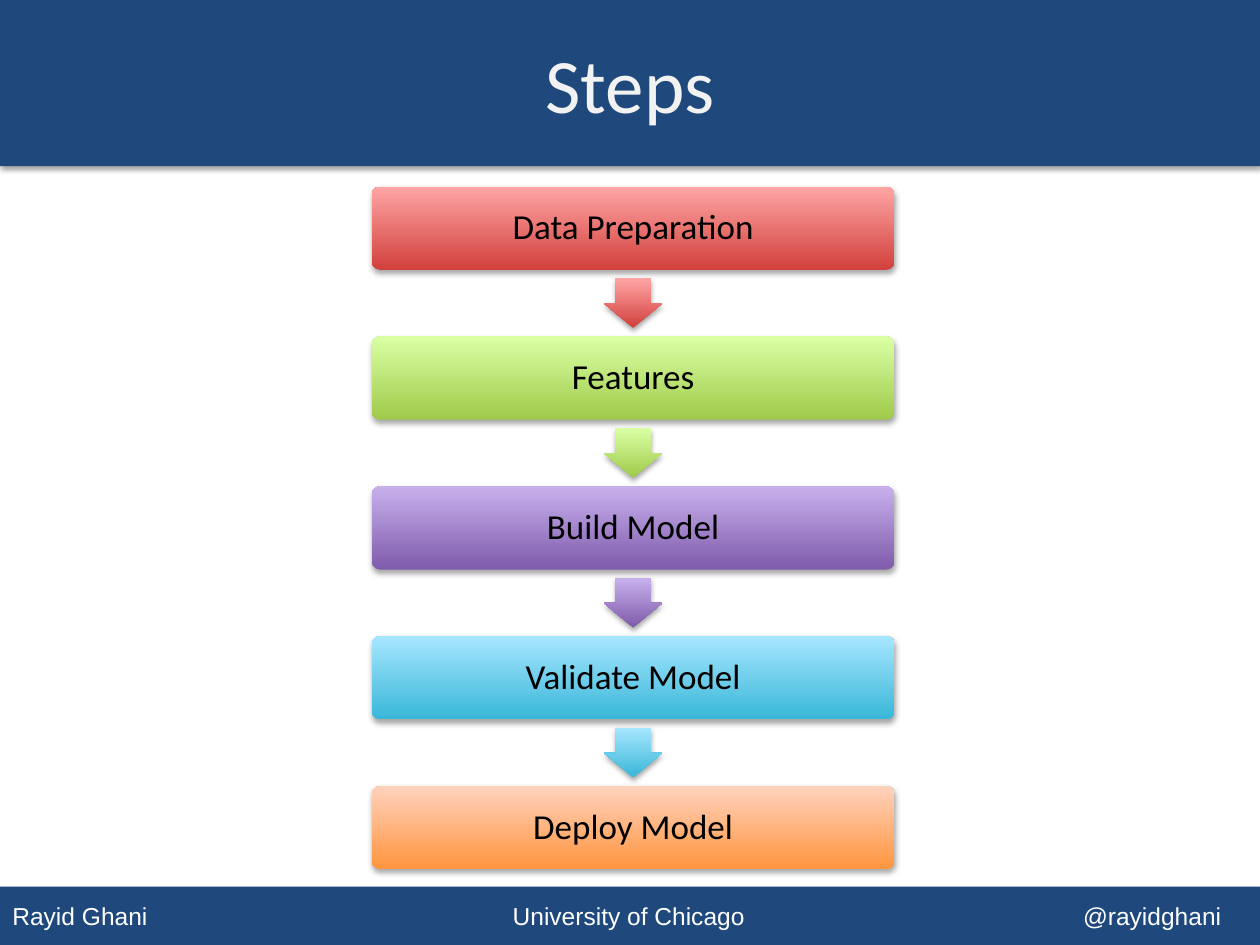
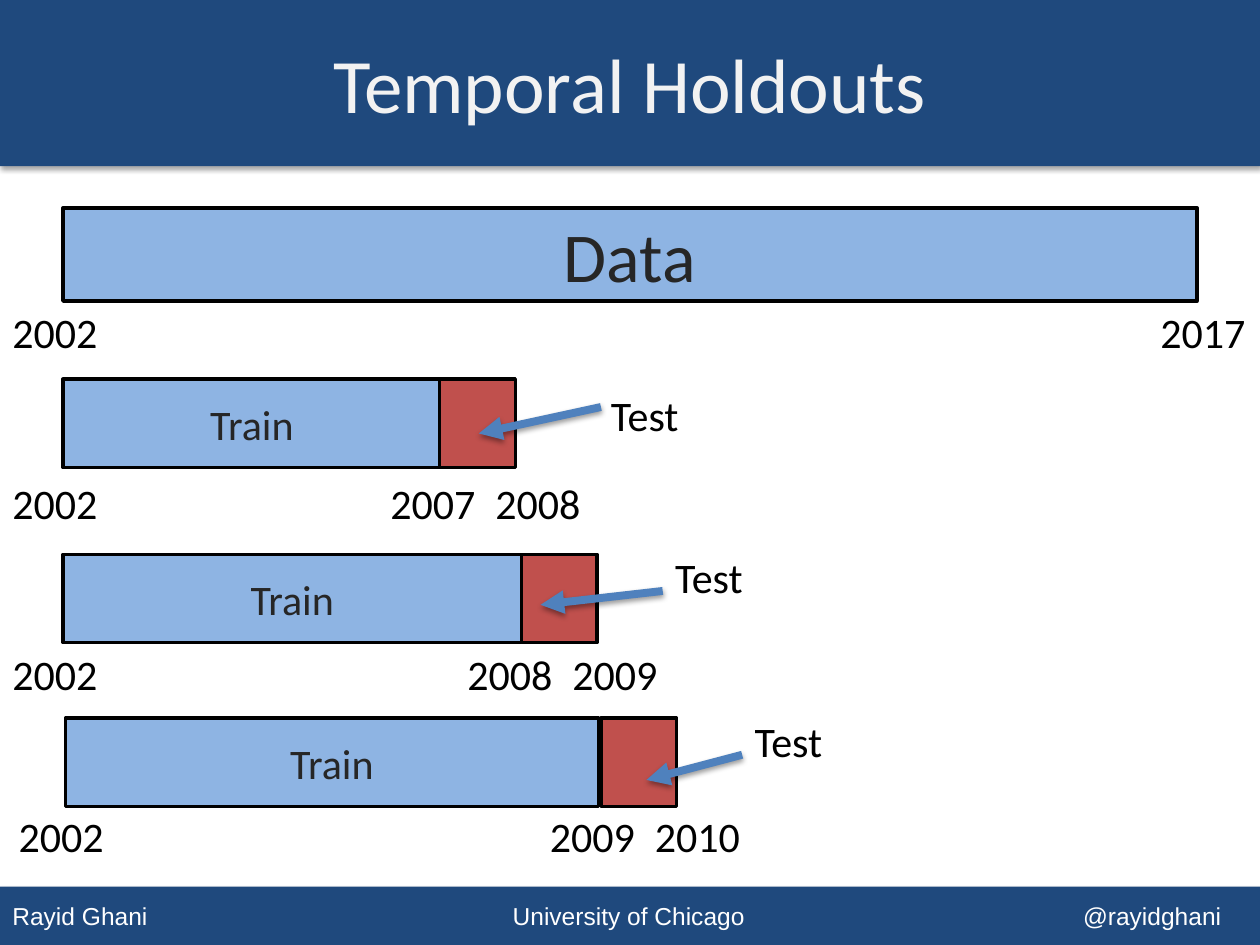
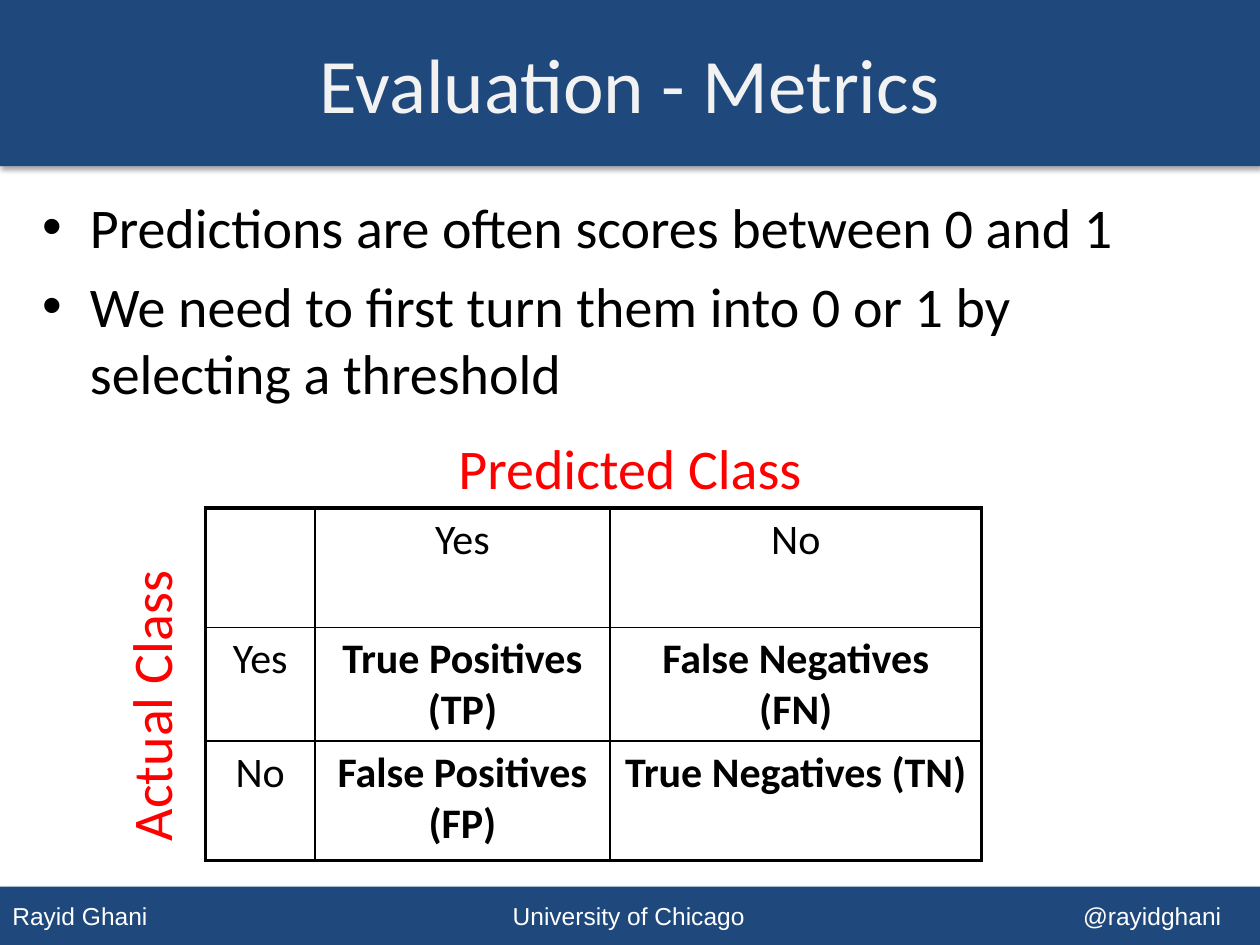
from dataclasses import dataclass

from lxml import etree
from pptx import Presentation
from pptx.dml.color import RGBColor
from pptx.enum import shapes, text
from pptx.oxml import ns
from pptx.util import Pt


@dataclass(frozen=True)
class Theme:
    # Colours
    band: str = "1F497D"
    title: str = "F2F2F2"
    white: str = "FFFFFF"
    black: str = "000000"
    train: str = "8EB4E3"
    test: str = "C0504D"
    bar_text: str = "262626"
    arrow: str = "4F81BD"
    axis: str = "FF0000"
    # Type
    font: str = "Calibri"
    footer_font: str = "Arial"
    title_size: int = 44
    data_size: int = 40
    body_size: int = 32
    label_size: int = 24
    step_size: int = 20
    footer_size: int = 14


THEME = Theme()
WIDTH, HEIGHT = 720, 540
CENTER = text.PP_ALIGN.CENTER

STEPS = [  # label, dark colour at the bottom, light colour at the top
    ("Data Preparation", "D1403C", "FFA6A5"),
    ("Features", "A0CA4A", "DAFFA5"),
    ("Build Model", "7F5BAB", "C8B0ED"),
    ("Validate Model", "39B7D8", "A7E6FF"),
    ("Deploy Model", "FF953E", "FFD2BD"),
]


@dataclass(frozen=True)
class Holdout:
    """One train/test split; y offsets count from the top of its bars."""
    years: str
    left: float
    top: float
    train_width: float
    test_left: float
    years_left: float
    years_y: float
    year_stop: float
    note: tuple
    arrow_from: tuple
    arrow_to: tuple


HOLDOUTS = [
    Holdout("2002\t2007\t2008", 36, 216.7, 216, 251.3, 0, 52.6, 216,
            (342, 2.2), (343.4, 15.9), (273.6, 31)),
    Holdout("2002\t2008\t2009", 36, 316.8, 262, 298, 0, 50.4, 260,
            (378.7, -5), (378.7, 20.9), (308.9, 28.8)),
    Holdout("2002\t2009\t2010", 37.4, 410.4, 304.6, 343.4, 3.6, 49, 303.5,
            (424.1, -5), (424.1, 20.9), (369.4, 35.3)),
]

METRICS = ["Predictions are often scores between 0 and 1",
           "We need to first turn them into 0 or 1 by selecting a threshold"]
CONFUSION = [["", "Yes", "No"],
             ["Yes", "True Positives (TP)", "False Negatives (FN)"],
             ["No", "False Positives (FP)", "True Negatives (TN)"]]


# Helpers
def points(*lengths):
    return [Pt(length) for length in lengths]


def rgb(colour):
    return RGBColor.from_string(colour)


def add_xml(parent, tag, **attributes):
    values = {name: str(value) for name, value in attributes.items()}
    return etree.SubElement(parent, ns.qn(tag), values)


def add_shadow(shape, opacity=35):
    properties = shape._element.spPr
    effects = properties.find(ns.qn("a:effectLst"))
    if effects is None:
        effects = add_xml(properties, "a:effectLst")
    shadow = add_xml(effects, "a:outerShdw", blurRad=Pt(3.1), dist=Pt(1.8),
                     dir=90 * 60000, rotWithShape=0)
    colour = add_xml(shadow, "a:srgbClr", val=THEME.black)
    add_xml(colour, "a:alpha", val=opacity * 1000)


def style_runs(paragraph, size, colour, font=THEME.font, bold=False):
    for run in paragraph.runs:
        run.font.name = font
        run.font.size = Pt(size)
        run.font.bold = bold
        run.font.color.rgb = rgb(colour)


def write(shape, words, size, colour, align=None, font=THEME.font, tabs=(),
          anchor=text.MSO_ANCHOR.MIDDLE):
    frame = shape.text_frame
    frame.word_wrap = True
    frame.vertical_anchor = anchor
    frame.text = words
    paragraph = frame.paragraphs[0]
    paragraph.alignment = align or text.PP_ALIGN.LEFT
    if tabs:
        stops = add_xml(paragraph._p.get_or_add_pPr(), "a:tabLst")
        for stop in tabs:
            add_xml(stops, "a:tab", pos=Pt(stop), algn="l")
    style_runs(paragraph, size, colour, font)
    return paragraph


def add_label(slide, box, words, size=THEME.label_size, colour=THEME.black,
              **options):
    label = slide.shapes.add_textbox(*points(*box))
    options.setdefault("anchor", text.MSO_ANCHOR.TOP)
    write(label, words, size, colour, **options)
    return label


def add_block(slide, kind, box, fill=None, gradient=None, outline=None):
    shape = slide.shapes.add_shape(kind, *points(*box))
    shape.shadow.inherit = False
    if gradient:
        shape.fill.gradient()
        shape.fill.gradient_angle = 90
        for stop, colour in zip(shape.fill.gradient_stops, gradient):
            stop.color.rgb = rgb(colour)
    else:
        shape.fill.solid()
        shape.fill.fore_color.rgb = rgb(fill)
    if outline:
        shape.line.color.rgb = rgb(outline)
        shape.line.width = Pt(2)
    else:
        shape.line.fill.background()
    return shape


def add_bar(slide, box, fill):
    return add_block(slide, shapes.MSO_SHAPE.RECTANGLE, box, fill,
                     outline=THEME.black)


# Frame shared by every slide
def add_frame(presentation, title):
    slide = presentation.slides.add_slide(presentation.slide_layouts[6])
    footer, header = [
        add_block(slide, shapes.MSO_SHAPE.RECTANGLE, (0, top, WIDTH, height),
                  THEME.band)
        for top, height in ((506.7, HEIGHT - 506.7), (0, 95))]
    add_shadow(footer)
    add_shadow(header)
    write(footer, "Rayid Ghani\tUniversity of Chicago\t@rayidghani",
          THEME.footer_size, THEME.white, font=THEME.footer_font,
          tabs=(285.9, 611.8))
    add_label(slide, (0, 2.2, WIDTH, 90), title, THEME.title_size, THEME.title,
              align=CENTER, anchor=text.MSO_ANCHOR.MIDDLE)
    return slide


# Vertical flow of steps
def add_flow(slide, box):
    left, top, width, height = box
    step_height = 47.6
    pitch = (height - step_height) / (len(STEPS) - 1)
    arrow_width, arrow_height = 33.8, 28.2
    for index, (name, dark, light) in enumerate(STEPS):
        step_top = top + index * pitch
        step = add_block(slide, shapes.MSO_SHAPE.ROUNDED_RECTANGLE,
                         (left, step_top, width, step_height),
                         gradient=(dark, light))
        step.adjustments[0] = 0.1
        add_shadow(step)
        paragraph = write(step, name, THEME.step_size, THEME.black, CENTER)
        paragraph.line_spacing = 0.9
        if index == len(STEPS) - 1:
            break
        gap = pitch - step_height
        arrow = add_block(slide, shapes.MSO_SHAPE.DOWN_ARROW,
                          (left + (width - arrow_width) / 2,
                           step_top + step_height + (gap - arrow_height) / 2,
                           arrow_width, arrow_height), gradient=(dark, light))
        arrow.adjustments[0] = 0.6
        arrow.adjustments[1] = 0.5
        add_shadow(arrow)


# Whole data range
def add_data_range(slide, box):
    left, top, width, height = box
    write(add_bar(slide, box, THEME.train), "Data", THEME.data_size,
          THEME.bar_text, CENTER)
    add_label(slide, (0, top + height - 0.7, WIDTH, 36), "2002\t2017",
              tabs=(656,))


# One train/test split
def add_holdout(slide, row):
    bar_height, test_width = 50.4, 43.2
    train = add_bar(slide, (row.left, row.top, row.train_width, bar_height),
                    THEME.train)
    write(train, "Train", THEME.label_size, THEME.bar_text, CENTER)
    add_bar(slide, (row.test_left, row.top, test_width, bar_height), THEME.test)
    add_label(slide, (row.years_left, row.top + row.years_y, WIDTH, 36),
              row.years, tabs=(row.year_stop, row.year_stop + 60))

    # Pointer to the test part
    (start_x, start_y), (end_x, end_y) = row.arrow_from, row.arrow_to
    arrow = slide.shapes.add_connector(
        shapes.MSO_CONNECTOR.STRAIGHT,
        *points(start_x, row.top + start_y, end_x, row.top + end_y))
    arrow.line.color.rgb = rgb(THEME.arrow)
    arrow.line.width = Pt(4.5)
    add_xml(arrow.line._get_or_add_ln(), "a:tailEnd", type="triangle")
    add_shadow(arrow, opacity=38)
    note_left, note_y = row.note
    add_label(slide, (note_left, row.top + note_y, 54, 36), "Test")


# Bulleted list
def add_bullets(slide, box, lines):
    frame = slide.shapes.add_textbox(*points(*box)).text_frame
    frame.word_wrap = True
    for index, line in enumerate(lines):
        paragraph = frame.paragraphs[0] if index == 0 else frame.add_paragraph()
        paragraph.text = line
        properties = paragraph._p.get_or_add_pPr()
        properties.set("marL", str(Pt(27)))
        properties.set("indent", str(-Pt(27)))
        add_xml(properties, "a:buFont", typeface="Arial")
        add_xml(properties, "a:buChar", char="•")
        if index:
            paragraph.space_before = Pt(6.4)
        style_runs(paragraph, THEME.body_size, THEME.black)


def set_borders(cell, widths):
    properties = cell._tc.get_or_add_tcPr()
    for side, width in zip("LRTB", widths):
        line = add_xml(properties, f"a:ln{side}", w=Pt(width))
        fill = add_xml(line, "a:solidFill")
        add_xml(fill, "a:srgbClr", val=THEME.black)


# Confusion matrix with its axis titles
def add_confusion_matrix(slide, left, top):
    column_widths, row_heights = (62.6, 168.5, 212.5), (68.4, 60.5, 68.4)
    table = slide.shapes.add_table(
        3, 3, *points(left, top, sum(column_widths), sum(row_heights))).table
    table.first_row = table.horz_banding = False
    for column, width in zip(table.columns, column_widths):
        column.width = Pt(width)
    for row, height in zip(table.rows, row_heights):
        row.height = Pt(height)
    for row, words in enumerate(CONFUSION):
        for column, word in enumerate(words):
            cell = table.cell(row, column)
            outer = (column == 0, column == 2, row == 0, row == 2)
            set_borders(cell, [2.25 if edge else 1 for edge in outer])
            cell.fill.background()
            cell.text = word
            paragraph = cell.text_frame.paragraphs[0]
            paragraph.alignment = CENTER
            style_runs(paragraph, THEME.label_size, THEME.black,
                       bold=row > 0 and column > 0)
    add_label(slide, (left + 137.5, top - 46, 214.6, 46), "Predicted Class",
              THEME.body_size, THEME.axis)
    actual = add_label(slide, (left - 116.7, top + 89.3, 170.6, 46),
                       "Actual Class", THEME.body_size, THEME.axis)
    actual.rotation = 270


# Slides
def add_steps_slide(presentation):
    slide = add_frame(presentation, "Steps")
    add_flow(slide, (212.4, 106.6, 298.8, 390.2))


def add_holdouts_slide(presentation):
    slide = add_frame(presentation, "Temporal Holdouts")
    add_data_range(slide, (36, 118.8, 648, 53.3))
    for row in HOLDOUTS:
        add_holdout(slide, row)


def add_metrics_slide(presentation):
    slide = add_frame(presentation, "Evaluation - Metrics")
    add_bullets(slide, (17.3, 106.6, 689, 390.2), METRICS)
    add_confusion_matrix(slide, 117.4, 290.2)


def main():
    presentation = Presentation()
    presentation.slide_width, presentation.slide_height = points(WIDTH, HEIGHT)
    add_steps_slide(presentation)
    add_holdouts_slide(presentation)
    add_metrics_slide(presentation)
    presentation.save("out.pptx")


if __name__ == "__main__":
    main()
